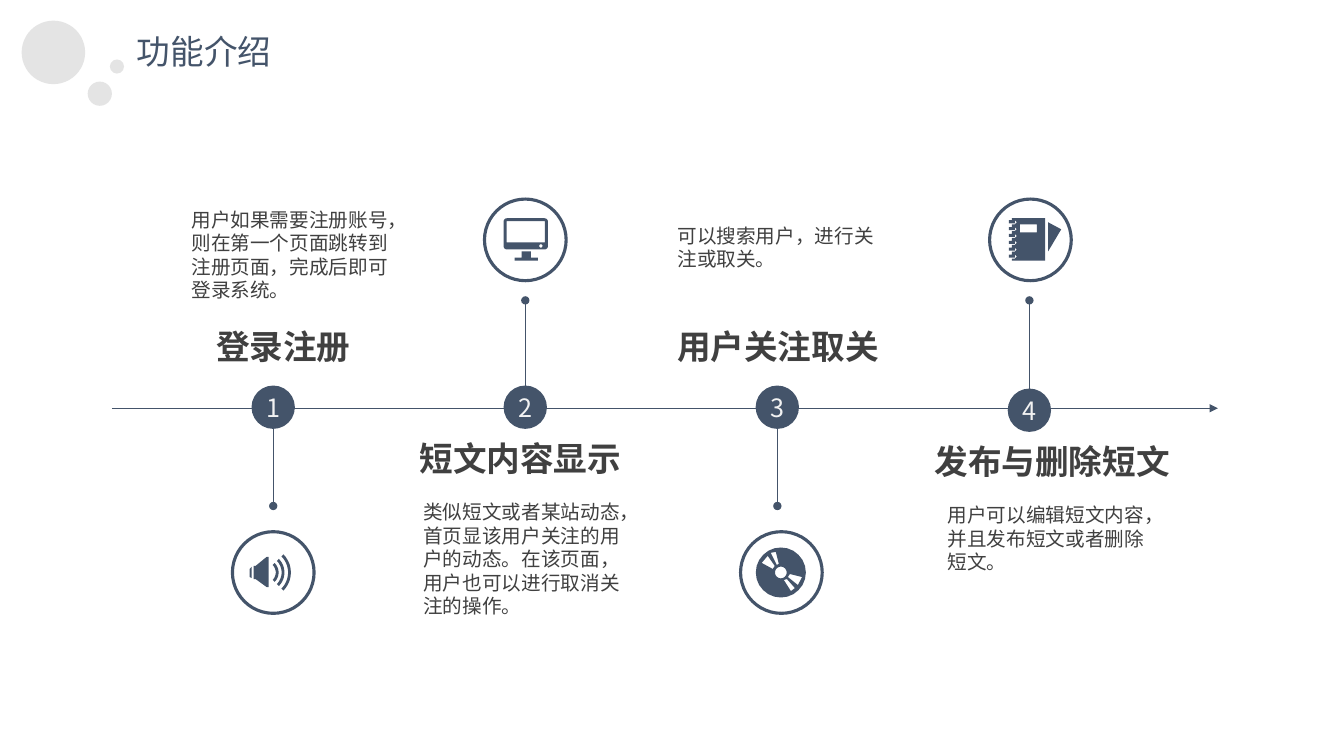
from math import cos, radians, sin

from lxml import etree
from pptx import Presentation
from pptx import util as u
from pptx.dml.color import RGBColor
from pptx.enum import shapes, text
from pptx.oxml.ns import qn

NAVY = RGBColor(0x44, 0x54, 0x6A)
INK = RGBColor(0x40, 0x40, 0x40)
PALE = RGBColor(0xF2, 0xF2, 0xF2)
GREY = RGBColor(0xD9, 0xD9, 0xD9)
FONT = "Noto Sans CJK SC"
MIL = u.Inches(1) / 1000

AXIS_Y, BADGE_Y = 4.05, 4.04
FIRST_X, PITCH = 2.71, 2.5
BADGE, RING = 0.43, 0.81
BODY_WIDTH, HEADING_HEIGHT = 2.25, 0.48

STEPS = [
    ("登录注册", (-0.82, 1.84),
     "用户如果需要注册账号，则在第一个页面跳转到注册页面，完成后即可登录系统。",
     (-0.91, 2.01, 1.04), 0, 0),
    ("短文内容显示", (-1.24, 2.38),
     "类似短文或者某站动态，首页显该用户关注的用户的动态。在该页面，用户也可以进行取消关注的操作。",
     (-1.11, 4.91, 1.28), 0, 0),
    ("用户关注取关", (-1.12, 2.25),
     "可以搜索用户，进行关注或取关。",
     (-1.09, 2.17, 0.57), 0.04, 0),
    ("发布与删除短文", (-1.16, 2.77),
     "用户可以编辑短文内容，并且发布短文或者删除短文。",
     (-0.91, 4.94, 0.81), 0.01, 0.03),
]


def arc(x, y, radius, start=0, end=360, parts=24):
    angles = [radians(start + (end - start) * i / parts) for i in range(parts + 1)]
    return [(x + radius * cos(a), y + radius * sin(a)) for a in angles]


def box(left, top, right, bottom):
    return [(left, top), (right, top), (right, bottom), (left, bottom)]


def rounded(left, top, right, bottom, r):
    corners = [(right - r, bottom - r), (left + r, bottom - r),
               (left + r, top + r), (right - r, top + r)]
    return [point for i, (x, y) in enumerate(corners)
            for point in arc(x, y, r, 90 * i, 90 * i + 90, 6)]


def speaker():
    cone = [(-65, -155), (-175, -65), (-195, -65), (-195, 65),
            (-175, 65), (-65, 145), (-45, 145), (-45, -155)]
    handle = [(-235, -35), (-215, -55), (-215, 55), (-235, 45)]
    waves = [arc(-79, 0, r, -45, 45) + arc(-79, 0, r - 28, 45, -45)
             for r in (132, 190, 254)]
    return [cone, handle] + waves


def monitor():
    stand = [(-105, 205), (-105, 175), (-35, 175), (-35, 115),
             (55, 115), (55, 175), (125, 175), (125, 205)]
    return [rounded(-215, -215, 225, 95, 35), box(-185, -185, 195, 25),
            arc(155, 60, 17), stand]


def disc():
    glints = [
        [(-45, -75), (-25, -85), (-55, -205), (-105, -195)],
        [(55, 65), (25, 75), (95, 185), (135, 155)],
        [(205, 45), (85, 15), (65, 45), (165, 125)],
        [(-195, -95), (-85, -35), (-65, -65), (-135, -165)],
    ]
    return [arc(-5, 0, 248), arc(-5, 0, 58)] + glints


def notebook():
    coil = [(-185, -195), (-215, -195), (-215, -165), (-155, -165), (-155, -195),
            (-135, -175), (-155, -155), (-185, -155)]
    spine = [(x, y + 68 * i) for i in range(6) for x, y in coil]
    cover = [(-185, -215)] + spine + [(-185, 205), (145, 205), (145, -215)]
    return [cover, box(-105, -155, 65, -75), [(175, -175), (175, 115), (305, -105)]]


ICONS = [speaker, monitor, disc, notebook]


def paint(shape, fill=None, line=None, width=0):
    shape.shadow.inherit = False
    if fill is None:
        shape.fill.background()
    else:
        shape.fill.solid()
        shape.fill.fore_color.rgb = fill
    if line is None:
        shape.line.fill.background()
    else:
        shape.line.color.rgb = line
        shape.line.width = u.Pt(width)


def circle(slide, x, y, size, kind=shapes.MSO_SHAPE.OVAL):
    return slide.shapes.add_shape(kind, u.Inches(x - size / 2), u.Inches(y - size / 2),
                                  u.Inches(size), u.Inches(size))


def write(frame, words, size, colour, bold=False, align=None, spacing=None):
    paragraph = frame.paragraphs[0]
    paragraph.text = words
    paragraph.alignment = align
    paragraph.line_spacing = spacing
    font = paragraph.font
    font.size, font.bold, font.name = u.Pt(size), bold, FONT
    font.color.rgb = colour
    defaults = paragraph._p.find(".//" + qn("a:defRPr"))
    etree.SubElement(defaults, qn("a:ea"), typeface=FONT)


def label(slide, left, top, width, height, words, size, colour, wrap=True, **style):
    frame = slide.shapes.add_textbox(*map(u.Inches, (left, top, width, height))).text_frame
    frame.word_wrap = wrap
    write(frame, words, size, colour, **style)


def rule(slide, x1, y1, x2, y2, **ends):
    line = slide.shapes.add_connector(shapes.MSO_CONNECTOR.STRAIGHT,
                                      *map(u.Inches, (x1, y1, x2, y2)))
    line.line.color.rgb = NAVY
    line.line.width = u.Pt(0.5)
    for end, kind in ends.items():
        etree.SubElement(line.line._get_or_add_ln(), qn(f"a:{end}"), type=kind)
    etree.SubElement(line._element.spPr, qn("a:effectLst"))


def icon(slide, x, y, contours):
    paint(circle(slide, x, y, RING), line=NAVY, width=2.25)
    first, *others = contours
    pen = slide.shapes.build_freeform(*first[0], scale=MIL)
    pen.add_line_segments(first[1:])
    for contour in others:
        pen.move_to(*contour[0])
        pen.add_line_segments(contour[1:])
    paint(pen.convert_to_shape(u.Inches(x), u.Inches(y)), NAVY)


def header(slide):
    for x, y, size in [(0.53, 0.52, 0.63), (0.99, 0.93, 0.24), (1.16, 0.66, 0.14)]:
        bubble = circle(slide, x, y, size, shapes.MSO_SHAPE.FLOWCHART_CONNECTOR)
        paint(bubble, GREY)
        tint = bubble._element.spPr.find(".//" + qn("a:srgbClr"))
        etree.SubElement(tint, qn("a:alpha"), val="70000")
    label(slide, 1.26, 0.26, 1.55, 0.5, "功能介绍", 24, NAVY, wrap=False)


def step(slide, index):
    heading, (shift, width), body, (body_shift, body_top, body_height), icon_shift, drop = STEPS[index]
    x = FIRST_X + PITCH * index
    icon_below = index % 2 == 0
    stem_top, icon_y, heading_top = (4.04, 5.68, 3.22) if icon_below else (2.98, 2.38, 4.33)
    centred = text.PP_ALIGN.CENTER

    rule(slide, x, stem_top, x, stem_top + 0.98, headEnd="oval", tailEnd="oval")
    badge = circle(slide, x, BADGE_Y + drop, BADGE)
    paint(badge, NAVY)
    frame = badge.text_frame
    frame.margin_left = frame.margin_right = frame.margin_top = frame.margin_bottom = 0
    frame.vertical_anchor = text.MSO_ANCHOR.MIDDLE
    write(frame, str(index + 1), 18, PALE, align=centred)

    icon(slide, x + icon_shift, icon_y, ICONS[index]())
    label(slide, x + body_shift, body_top, BODY_WIDTH, body_height, body, 14, INK)
    label(slide, x + shift, heading_top + drop, width, HEADING_HEIGHT, heading, 24, INK,
          bold=True, align=centred, spacing=0.94)


def timeline(slide):
    rule(slide, 1.11, AXIS_Y, 12.08, AXIS_Y, tailEnd="triangle")
    for index in range(len(STEPS)):
        step(slide, index)


def main():
    deck = Presentation()
    deck.slide_width, deck.slide_height = u.Inches(13.33), u.Inches(7.5)
    slide = deck.slides.add_slide(deck.slide_layouts[6])
    header(slide)
    timeline(slide)
    deck.save("out.pptx")


if __name__ == "__main__":
    main()
